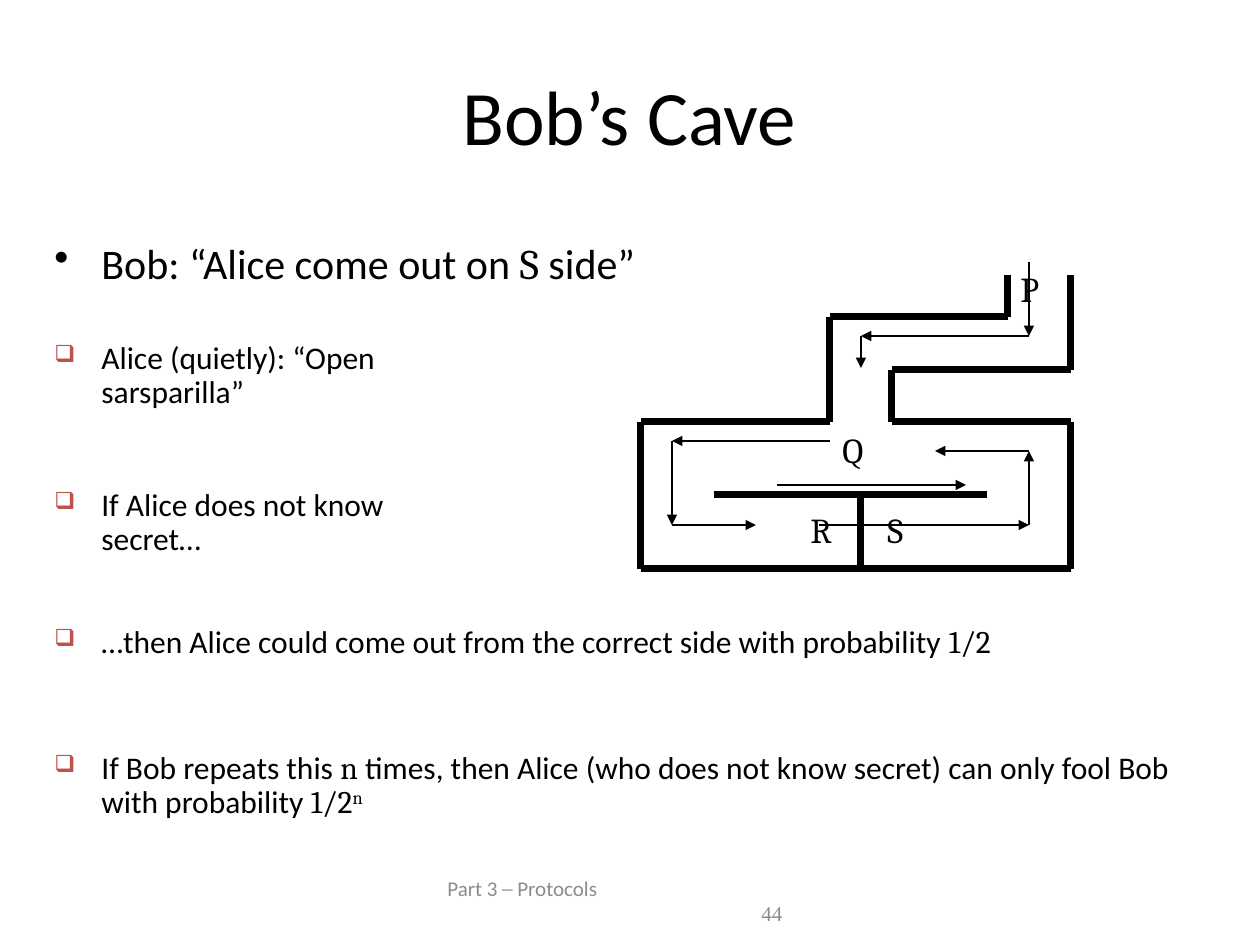
import pptx
import pptx.dml.color
import pptx.enum.shapes
import pptx.enum.text
import pptx.oxml.ns
import pptx.util
from lxml import etree

PX = 914400 // 126
BLACK, RED, GREY = "000000", "C0504D", "8C8C8C"
SANS, SERIF = "Calibri", "Cambria"
ALIGN = pptx.enum.text.PP_ALIGN
ANCHOR = pptx.enum.text.MSO_ANCHOR


def px(n):
    return pptx.util.Emu(n * PX)


def rgb(value):
    return pptx.dml.color.RGBColor.from_string(value)


def add_xml(parent, tag, **attrs):
    return etree.SubElement(parent, pptx.oxml.ns.qn(tag), attrs)


def add_bullet(p, char, color, percent):
    pPr = p._p.get_or_add_pPr()
    pPr.set("marL", str(px(47)))
    pPr.set("indent", str(px(-47)))
    add_xml(add_xml(pPr, "a:buClr"), "a:srgbClr", val=color)
    add_xml(pPr, "a:buSzPct", val=str(percent * 1000))
    add_xml(pPr, "a:buChar", char=char)


def add_run(p, text, size, font=SANS, color=BLACK, superscript=False):
    r = p.add_run()
    r.text = text
    r.font.size = pptx.util.Pt(size)
    r.font.name = font
    r.font.color.rgb = rgb(color)
    if superscript:
        r.font._element.set("baseline", "30000")


def add_text(s, box, runs, size=18, color=BLACK, align=ALIGN.LEFT,
             anchor=ANCHOR.TOP, wrap=True, bullet=None, spacing=None):
    """Each run is a string, or a tuple of text, font and superscript."""
    tf = s.shapes.add_textbox(*map(px, box)).text_frame
    tf.word_wrap = wrap
    tf.vertical_anchor = anchor
    p = tf.paragraphs[0]
    p.alignment = align
    if spacing:
        p.line_spacing = spacing
    if bullet:
        add_bullet(p, *bullet)
    for run in runs:
        text, font, raised = (run, SANS, False) if isinstance(run, str) else run
        add_run(p, text, size, font, color, raised)
    return tf


def serif(text, superscript=False):
    return text, SERIF, superscript


def add_line(s, start, end, width, arrow=False):
    sp = s.shapes.add_connector(pptx.enum.shapes.MSO_CONNECTOR.STRAIGHT,
                                *map(px, start + end))
    sp.line.width = pptx.util.Pt(width)
    sp.line.color.rgb = rgb(BLACK)
    if arrow:
        add_xml(sp.line._get_or_add_ln(), "a:tailEnd", type="triangle")
    add_xml(sp._element.spPr, "a:effectLst")


def add_route(s, points, **style):
    for start, end in zip(points, points[1:]):
        add_line(s, start, end, **style)


def add_footer(s):
    tf = add_text(s, (431, 876, 399, 50), ["Part 3 ─ Protocols"], size=12,
                  color=GREY, anchor=ANCHOR.MIDDLE)
    p = tf.add_paragraph()
    add_run(p, "44", 12, "Times New Roman", GREY)
    # Left margins place the label and the page number
    for p, margin in zip(tf.paragraphs, (4, 318)):
        p._p.get_or_add_pPr().set("marL", str(px(margin)))


def add_cave(s):
    # Walls
    outline = [(1008, 275), (1008, 317), (830, 317), (830, 422), (641, 422),
               (641, 569), (1071, 569), (1071, 422), (892, 422), (892, 370),
               (1071, 370), (1071, 275)]
    barrier = [(714, 495), (987, 495)]
    door = [(861, 569), (861, 495)]
    for wall in (outline, barrier, door):
        add_route(s, wall, width=4)

    # Position labels
    for letter, x, y in (("P", 1008, 261), ("Q", 830, 422),
                         ("R", 798, 502), ("S", 875, 502)):
        add_text(s, (x, y, 50, 54), [serif(letter)], size=20, wrap=False)

    # Walking directions
    entrance = [(1029, 262), (1029, 336), (861, 336), (861, 368)]
    left_side = [(830, 441), (672, 441), (672, 525), (756, 525)]
    right_side = [(819, 525), (1029, 525), (1029, 451), (935, 451)]
    middle = [(777, 485), (966, 485)]
    for route in (entrance, left_side, right_side, middle):
        add_route(s, route, width=0.75, arrow=True)


def main():
    prs = pptx.Presentation()
    prs.slide_width, prs.slide_height = px(1260), px(945)
    s = prs.slides.add_slide(prs.slide_layouts[6])

    # Title and lead statement
    add_text(s, (94, 52, 1071, 126), ["Bob’s Cave"], size=44,
             align=ALIGN.CENTER, anchor=ANCHOR.MIDDLE)
    add_text(s, (42, 231, 682, 74),
             ["Bob: “Alice come out on ", serif("S"), " side”"],
             size=24, bullet=("•", BLACK, 100))

    # Protocol steps
    steps = [
        ((42, 336, 430, 136), ["Alice (quietly): “Open sarsparilla”"]),
        ((42, 483, 430, 126), ["If Alice does not know secret…"]),
        ((42, 620, 1134, 116),
         ["…then Alice could come out from the correct side with probability ",
          serif("1/2")]),
        ((42, 746, 1155, 105),
         ["If Bob repeats this ", serif("n"),
          " times, then Alice (who does not know secret) can only fool Bob "
          "with probability ", serif("1/2"), serif("n", True)]),
    ]
    for box, runs in steps:
        add_text(s, box, runs, bullet=("❑", RED, 75), spacing=0.9)

    add_cave(s)
    add_footer(s)
    prs.save("out.pptx")


if __name__ == "__main__":
    main()
